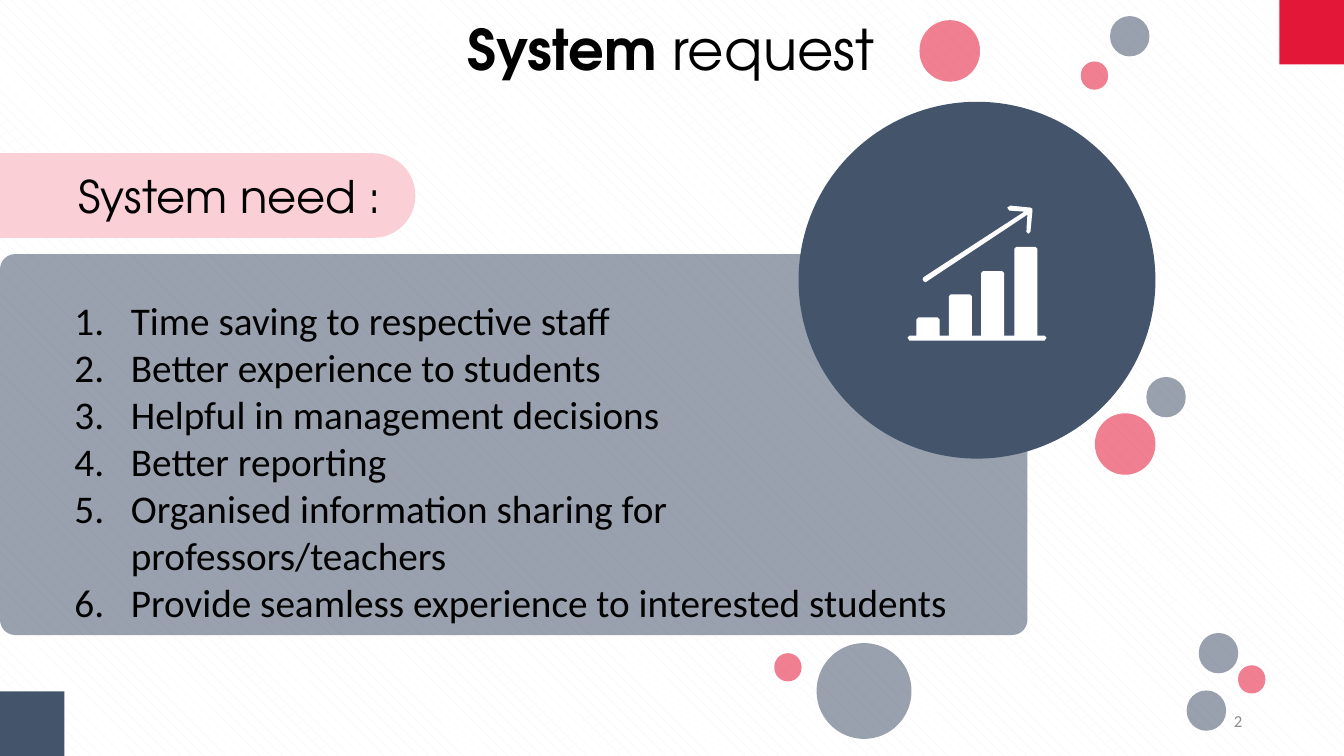
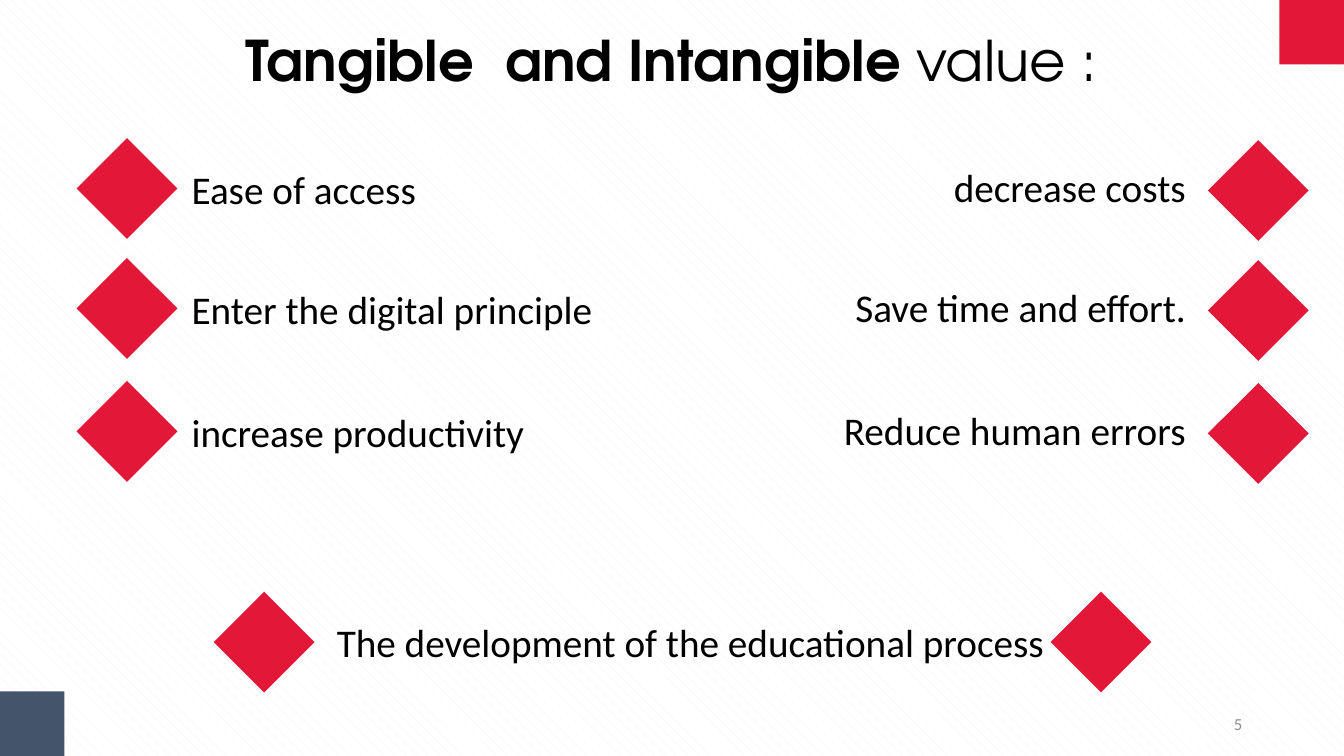
from dataclasses import dataclass
from typing import NamedTuple

from lxml import etree
from pptx import Presentation
from pptx.dml.color import RGBColor
from pptx.enum.dml import MSO_PATTERN
from pptx.enum.shapes import MSO_SHAPE
from pptx.enum.text import MSO_ANCHOR, MSO_AUTO_SIZE, PP_ALIGN
from pptx.oxml.ns import qn
from pptx.shapes.autoshape import Shape
from pptx.slide import Slide
from pptx.util import Emu, Pt

PX = 9144
SLIDE_WIDTH, SLIDE_HEIGHT = 1333, 750
BLANK_LAYOUT = 6
CORNER = 64
DIAMOND = 100
LINE_HEIGHT = 47

RECTANGLE = MSO_SHAPE.RECTANGLE
ROUNDED = MSO_SHAPE.ROUNDED_RECTANGLE
ROUNDED_TOP = MSO_SHAPE.ROUND_2_SAME_RECTANGLE
ELLIPSE = MSO_SHAPE.OVAL
DIAMOND_SHAPE = MSO_SHAPE.DIAMOND
SHINGLE = MSO_PATTERN.SHINGLE
LEFT, CENTER, RIGHT = PP_ALIGN.LEFT, PP_ALIGN.CENTER, PP_ALIGN.RIGHT
TOP, MIDDLE = MSO_ANCHOR.TOP, MSO_ANCHOR.MIDDLE
GROW = MSO_AUTO_SIZE.SHAPE_TO_FIT_TEXT


@dataclass(frozen=True)
class Theme:
    red: str = "E31737"
    navy: str = "44546A"
    pink: str = "FAD0D6"
    white: str = "FFFFFF"
    stripe: str = "F2F2F2"
    ink: str = "000000"
    muted: str = "8C8C8C"
    heading_font: str = "TeX Gyre Adventor"
    body_font: str = "Calibri"
    title_size: int = 40
    subtitle_size: int = 32
    body_size: int = 28
    number_size: int = 12
    bubble_opacity: int = 55


THEME = Theme()


class Box(NamedTuple):
    left: int
    top: int
    width: int
    height: int

    def emu(self) -> list[Emu]:
        return [Emu(length * PX) for length in self]


class TextStyle(NamedTuple):
    font: str
    size: int
    color: str = THEME.ink
    align: PP_ALIGN = LEFT
    anchor: MSO_ANCHOR = TOP


class Bubble(NamedTuple):
    left: int
    top: int
    diameter: int
    color: str


@dataclass(frozen=True)
class Column:
    diamond_left: int
    text_left: int
    row_shift: int
    text_shift: int
    align: PP_ALIGN
    items: tuple[str, ...]


TITLE = TextStyle(THEME.heading_font, THEME.title_size, align=CENTER, anchor=MIDDLE)
SUBTITLE = TITLE._replace(size=THEME.subtitle_size)
BODY = TextStyle(THEME.body_font, THEME.body_size)
NUMBER = TextStyle(THEME.body_font, THEME.number_size, THEME.muted, RIGHT, MIDDLE)

SMALL, MEDIUM, LARGE, HUGE = 27, 39, 60, 94
BUBBLES = (
    Bubble(1137, 374, MEDIUM, THEME.navy),
    Bubble(1086, 410, LARGE, THEME.red),
    Bubble(912, 20, LARGE, THEME.red),
    Bubble(810, 638, HUGE, THEME.navy),
    Bubble(1228, 660, SMALL, THEME.red),
    Bubble(1072, 61, SMALL, THEME.red),
    Bubble(1101, 16, MEDIUM, THEME.navy),
    Bubble(768, 648, SMALL, THEME.red),
    Bubble(1189, 628, MEDIUM, THEME.navy),
    Bubble(1177, 685, MEDIUM, THEME.navy),
)

NEEDS = (
    "Time saving to respective staff",
    "Better experience to students",
    "Helpful in management decisions",
    "Better reporting",
    "Organised information sharing for professors/teachers",
    "Provide seamless experience to interested students",
)
NUMBER_INDENT = 56

ARROW_OUTLINE = (
    (918, 280), (1019, 213), (1018, 230), (1020, 232), (1022, 230),
    (1024, 209), (1024, 207), (1022, 206), (1002, 204), (999, 206),
    (1001, 209), (1016, 210), (916, 275), (915, 277), (916, 279),
)

VALUE_ROWS = (137, 256, 378)
VALUE_COLUMNS = (
    Column(76, 190, 0, 27, LEFT,
           ("Ease of access", "Enter the digital principle", "increase productivity")),
    Column(1198, 566, 2, 23, RIGHT,
           ("decrease costs", "Save time and effort.", "Reduce human errors")),
)


def paint(shape: Shape, color: str, opacity: int = 100) -> None:
    shape.shadow.inherit = False
    shape.fill.solid()
    shape.fill.fore_color.rgb = RGBColor.from_string(color)
    shape.line.fill.background()
    if opacity < 100:
        color_element = shape.element.spPr.find(".//" + qn("a:srgbClr"))
        etree.SubElement(color_element, qn("a:alpha"), val=str(opacity * 1000))


def add_block(slide: Slide, kind: MSO_SHAPE, box: Box, color: str,
              opacity: int = 100, corners: tuple[float, ...] = ()) -> Shape:
    shape = slide.shapes.add_shape(kind, *box.emu())
    paint(shape, color, opacity)
    for index, corner in enumerate(corners):
        shape.adjustments[index] = corner
    return shape


def add_text(slide: Slide, box: Box, lines: tuple[str, ...], style: TextStyle,
             numbered: bool = False, inset: bool = False, bold_lead: str = "") -> None:
    frame = slide.shapes.add_textbox(*box.emu()).text_frame
    frame.word_wrap = True
    frame.vertical_anchor = style.anchor
    if not inset:
        frame.auto_size = GROW
        frame.margin_left = frame.margin_top = frame.margin_right = frame.margin_bottom = 0
    for index, line in enumerate(lines):
        paragraph = frame.add_paragraph() if index else frame.paragraphs[0]
        if numbered:
            properties = paragraph._p.get_or_add_pPr()
            properties.set("marL", str(NUMBER_INDENT * PX))
            properties.set("indent", str(-NUMBER_INDENT * PX))
            etree.SubElement(properties, qn("a:buFont"), typeface="+mj-lt")
            etree.SubElement(properties, qn("a:buAutoNum"), type="arabicPeriod")
        paragraph.alignment = style.align
        paragraph.font.name = style.font
        paragraph.font.size = Pt(style.size)
        paragraph.font.color.rgb = RGBColor.from_string(style.color)
        if bold_lead:
            lead = paragraph.add_run()
            lead.text = bold_lead
            lead.font.bold = True
        paragraph.add_run().text = line


def add_outline(slide: Slide, points: tuple[tuple[int, int], ...], color: str) -> None:
    builder = slide.shapes.build_freeform(*points[0], scale=PX)
    builder.add_line_segments(points[1:], close=True)
    paint(builder.convert_to_shape(), color)


def bar_chart_outline() -> tuple[tuple[int, int], ...]:
    base, bar_width, bevel = 333, 23, 2
    points = [(900, 335), (902, base)]
    for index in range(4):
        left = 909 + index * 97 // 3
        top = 315 - index * 70 // 3
        right = left + bar_width
        points += [(left, base), (left, top + bevel), (left + bevel, top),
                   (right - bevel, top), (right, top + bevel), (right, base)]
    points += [(1036, base), (1038, 335), (1036, 338), (902, 338)]
    return tuple(points)


def start_slide(presentation: Presentation, bold_title: str, light_title: str,
                title_top: int, number: str, number_top: int) -> Slide:
    slide = presentation.slides.add_slide(presentation.slide_layouts[BLANK_LAYOUT])
    add_block(slide, RECTANGLE, Box(SLIDE_WIDTH - CORNER, 0, CORNER, CORNER), THEME.red)
    add_block(slide, RECTANGLE, Box(0, SLIDE_HEIGHT - CORNER, CORNER, CORNER), THEME.navy)
    add_text(slide, Box(160, title_top, 1011, 67), (light_title,), TITLE,
             bold_lead=bold_title)
    add_text(slide, Box(942, number_top, 300, 40), (number,), NUMBER, inset=True)
    return slide


def build_request_slide(presentation: Presentation) -> None:
    slide = start_slide(presentation, "System ", "request", 14, "2", 695)
    pill = add_block(slide, ROUNDED_TOP, Box(164, -12, 84, 412), THEME.pink,
                     corners=(0.5, 0))
    pill.rotation = 90
    add_block(slide, ELLIPSE, Box(792, 101, 354, 354), THEME.navy)
    add_block(slide, ROUNDED, Box(0, 252, 1019, 378), THEME.navy,
              THEME.bubble_opacity, (0.04,))
    add_text(slide, Box(32, 167, 392, 54), ("System need :",), SUBTITLE)
    add_text(slide, Box(64, 289, 915, 340), NEEDS, BODY, numbered=True, inset=True)
    add_outline(slide, ARROW_OUTLINE, THEME.white)
    add_outline(slide, bar_chart_outline(), THEME.white)
    for bubble in BUBBLES:
        box = Box(bubble.left, bubble.top, bubble.diameter, bubble.diameter + 1)
        add_block(slide, ROUNDED, box, bubble.color, THEME.bubble_opacity, (0.5,))


def add_diamond(slide: Slide, left: int, top: int) -> None:
    add_block(slide, DIAMOND_SHAPE, Box(left, top, DIAMOND, DIAMOND), THEME.red)


def build_value_slide(presentation: Presentation) -> None:
    slide = start_slide(presentation, "Tangible  and Intangible ", "value :", 25, "5", 698)
    for column in VALUE_COLUMNS:
        for row, item in zip(VALUE_ROWS, column.items):
            top = row + column.row_shift
            add_diamond(slide, column.diamond_left, top)
            add_text(slide, Box(column.text_left, top + column.text_shift, 610, LINE_HEIGHT),
                     (item,), BODY._replace(align=column.align))
    for left in (212, 1042):
        add_diamond(slide, left, 587)
    add_text(slide, Box(334, 613, 708, LINE_HEIGHT),
             ("The development of the educational process",), BODY)


def main() -> None:
    presentation = Presentation()
    presentation.slide_width = Emu(SLIDE_WIDTH * PX)
    presentation.slide_height = Emu(SLIDE_HEIGHT * PX)
    background = presentation.slide_master.background.fill
    background.patterned()
    background.pattern = SHINGLE
    background.fore_color.rgb = RGBColor.from_string(THEME.stripe)
    background.back_color.rgb = RGBColor.from_string(THEME.white)
    build_request_slide(presentation)
    build_value_slide(presentation)
    presentation.save("out.pptx")


if __name__ == "__main__":
    main()
